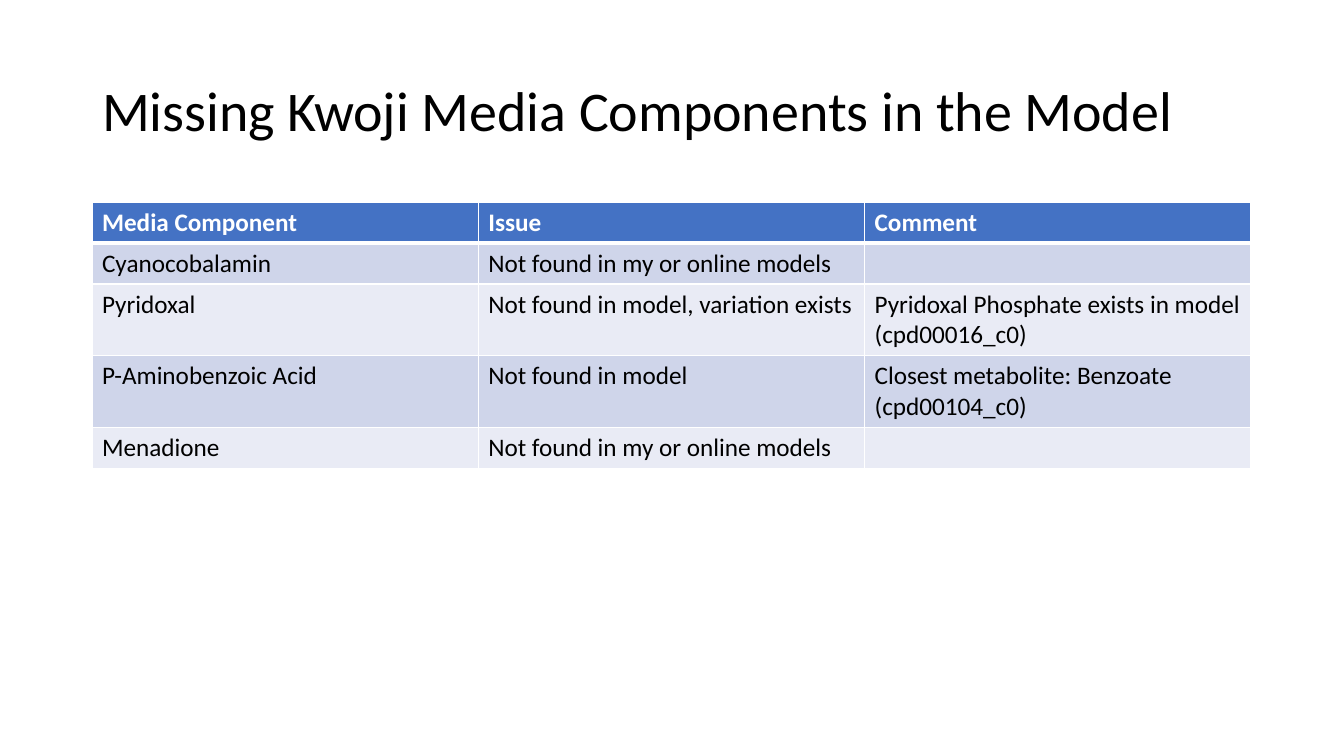
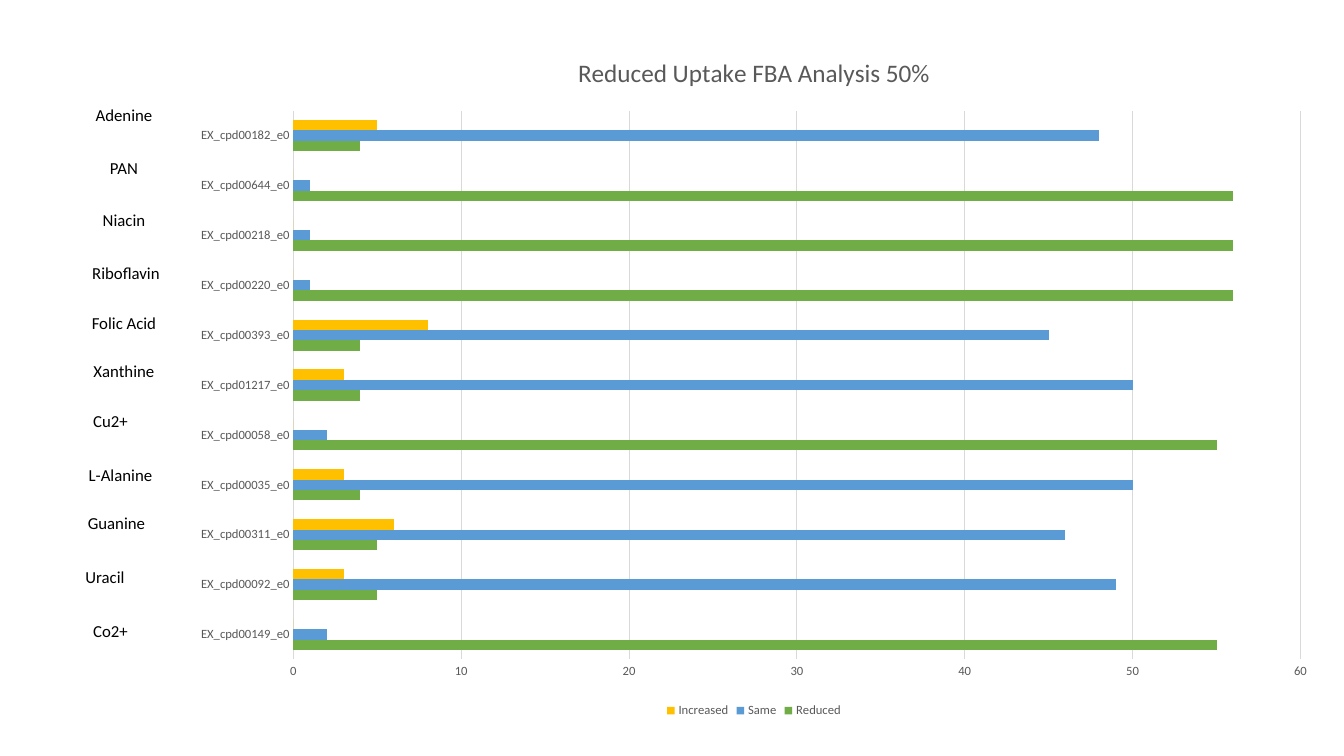
"""Build two slides: missing media components and a reduced uptake chart."""
from typing import Any, NamedTuple

from lxml import etree
from pptx import Presentation
from pptx import util as u
from pptx.chart import data as chart_data
from pptx.dml import color
from pptx.enum import chart as charts, text
from pptx.oxml import ns

FONT = "Calibri"
BLACK, WHITE, GRAY, GRID = "000000", "FFFFFF", "595959", "D9D9D9"
HEADER, BANDS = "4472C4", ("CFD5EA", "E9EBF5")
PIXEL = 914400 / 100.8


class Area(NamedTuple):
    left: int
    top: int
    width: int
    height: int


class Label(NamedTuple):
    name: str
    left: int
    top: int
    width: int


class Series(NamedTuple):
    name: str
    values: tuple[int, ...]
    fill: str


SLIDE = Area(0, 0, 1344, 756)
TITLE = Area(92, 40, 1159, 146)
TABLE = Area(92, 202, 1159, 205)
CHART = Area(178, 32, 1152, 690)
LABEL_HEIGHT = 30

ROWS = (
    ("Media Component", "Issue", "Comment"),
    ("Cyanocobalamin", "Not found in my or online models", ""),
    ("Pyridoxal", "Not found in model, variation exists",
     "Pyridoxal Phosphate exists in model (cpd00016_c0)"),
    ("P-Aminobenzoic Acid", "Not found in model",
     "Closest metabolite: Benzoate (cpd00104_c0)"),
    ("Menadione", "Not found in my or online models", ""),
)
COMPOUNDS = ("00149", "00092", "00311", "00035", "00058", "01217",
             "00393", "00220", "00218", "00644", "00182")
SERIES = (
    Series("Reduced", (55, 5, 5, 4, 55, 4, 4, 56, 56, 56, 4), "70AD47"),
    Series("Same", (2, 49, 46, 50, 2, 50, 45, 1, 1, 1, 48), "5B9BD5"),
    Series("Increased", (0, 3, 6, 3, 0, 3, 8, 0, 0, 0, 5), "FFC000"),
)
LABELS = (
    Label("Adenine", 85, 100, 78),
    Label("PAN", 100, 153, 48),
    Label("Niacin", 92, 205, 64),
    Label("Riboflavin", 82, 258, 88),
    Label("Folic Acid", 81, 308, 86),
    Label("Xanthine", 83, 356, 82),
    Label("Cu2+", 83, 406, 55),
    Label("L-Alanine", 78, 460, 85),
    Label("Guanine", 77, 508, 79),
    Label("Uracil", 75, 562, 60),
    Label("Co2+", 83, 616, 55),
)


def px(pixels: float) -> u.Emu:
    """Turn pixels into EMU."""
    return u.Emu(round(pixels * PIXEL))


def emu(area: Area) -> list[u.Emu]:
    """Turn an area into left, top, width and height in EMU."""
    return [px(length) for length in area]


def rgb(code: str) -> color.RGBColor:
    """Turn a hex string into a colour."""
    return color.RGBColor.from_string(code)


def style(font: Any, size: float, code: str, bold: bool = False) -> None:
    """Set typeface, size, colour and weight of a font."""
    font.name, font.size, font.bold = FONT, u.Pt(size), bold
    font.color.rgb = rgb(code)


def paint(fill: Any, code: str) -> None:
    """Give a fill one solid colour."""
    fill.solid()
    fill.fore_color.rgb = rgb(code)


def add_span(para: Any, words: str, size: float, code: str = BLACK,
             bold: bool = False) -> None:
    """Add a styled run to a paragraph."""
    span = para.add_run()
    span.text = words
    style(span.font, size, code, bold)


def add_title(page: Any, words: str) -> None:
    """Place and fill the title placeholder."""
    box = page.shapes.title
    box.left, box.top, box.width, box.height = emu(TITLE)
    box.text_frame.vertical_anchor = text.MSO_ANCHOR.MIDDLE
    para = box.text_frame.paragraphs[0]
    para.alignment = text.PP_ALIGN.LEFT
    para.line_spacing = 0.9
    add_span(para, words, 40)


def add_borders(cell: Any, bottom: float, top: float) -> None:
    """Draw white borders around a table cell."""
    properties = cell._tc.get_or_add_tcPr()
    for side, width in (("L", 1), ("R", 1), ("T", top), ("B", bottom)):
        line = etree.SubElement(properties, ns.qn(f"a:ln{side}"),
                                w=str(u.Pt(width)))
        fill = etree.SubElement(line, ns.qn("a:solidFill"))
        etree.SubElement(fill, ns.qn("a:srgbClr"), val=WHITE)


def add_component_table(page: Any) -> None:
    """Add the banded table of missing components."""
    table = page.shapes.add_table(len(ROWS), len(ROWS[0]), *emu(TABLE)).table
    for index, row in enumerate(ROWS):
        header = index == 0
        for column, words in enumerate(row):
            cell = table.cell(index, column)
            add_borders(cell, 3 if header else 1, 3 if index == 1 else 1)
            paint(cell.fill, HEADER if header else BANDS[(index - 1) % 2])
            if words:
                add_span(cell.text_frame.paragraphs[0], words, 18,
                         WHITE if header else BLACK, header)


def add_uptake_chart(page: Any) -> None:
    """Add the clustered bar chart of uptake results."""
    data = chart_data.CategoryChartData()
    data.categories = [f"EX_cpd{code}_e0" for code in COMPOUNDS]
    for series in SERIES:
        data.add_series(series.name, series.values)
    chart = page.shapes.add_chart(charts.XL_CHART_TYPE.BAR_CLUSTERED,
                                  *emu(CHART), data).chart
    style(chart.font, 10, BLACK)
    chart.has_title = True
    add_span(chart.chart_title.text_frame.paragraphs[0],
             "Reduced Uptake FBA Analysis 50%", 18, GRAY)
    chart.chart_title.include_in_layout = False

    plot = chart.plots[0]
    plot.gap_width, plot.overlap, plot.vary_by_categories = 182, 0, False
    for drawn, series in zip(plot.series, SERIES):
        paint(drawn.format.fill, series.fill)

    for axis in (chart.category_axis, chart.value_axis):
        axis.major_tick_mark = axis.minor_tick_mark = charts.XL_TICK_MARK.NONE
        style(axis.tick_labels.font, 9, GRAY)
    chart.value_axis.format.line.fill.background()
    chart.value_axis.has_major_gridlines = True
    for line in (chart.category_axis.format.line,
                 chart.value_axis.major_gridlines.format.line):
        line.color.rgb, line.width = rgb(GRID), u.Pt(0.75)

    chart.has_legend = True
    chart.legend.position = charts.XL_LEGEND_POSITION.BOTTOM
    chart.legend.include_in_layout = False
    style(chart.legend.font, 9, GRAY)


def add_label(page: Any, label: Label) -> None:
    """Add one compound name beside the chart."""
    area = Area(label.left, label.top, label.width, LABEL_HEIGHT)
    frame = page.shapes.add_textbox(*emu(area)).text_frame
    frame.word_wrap = False
    frame.auto_size = text.MSO_AUTO_SIZE.SHAPE_TO_FIT_TEXT
    para = frame.paragraphs[0]
    para.alignment = text.PP_ALIGN.CENTER
    add_span(para, label.name, 12)


def main() -> None:
    """Build and save the deck."""
    deck = Presentation()
    deck.slide_width, deck.slide_height = px(SLIDE.width), px(SLIDE.height)
    title_only, blank = deck.slide_layouts[5], deck.slide_layouts[6]

    page = deck.slides.add_slide(title_only)
    add_title(page, "Missing Kwoji Media Components in the Model")
    add_component_table(page)

    page = deck.slides.add_slide(blank)
    add_uptake_chart(page)
    for label in LABELS:
        add_label(page, label)

    deck.save("out.pptx")


main()
